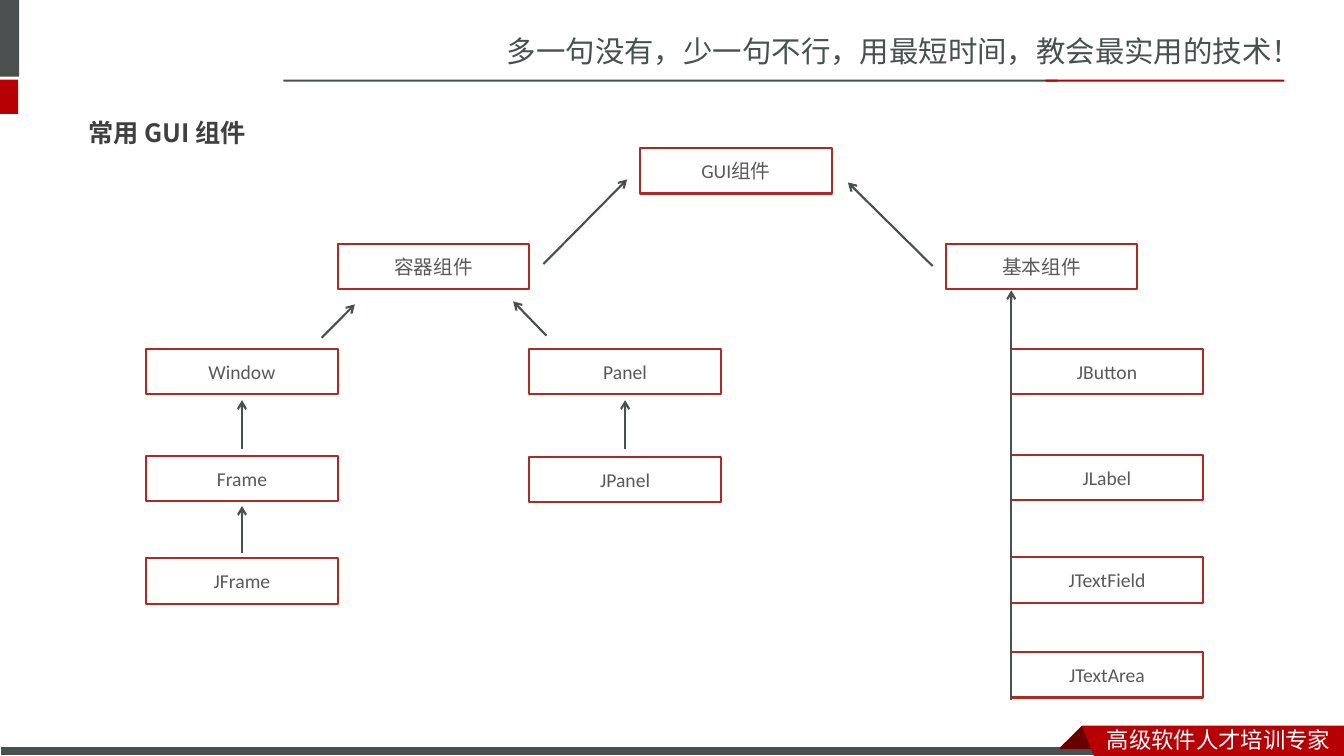
from dataclasses import dataclass
from typing import NamedTuple

from lxml.etree import SubElement
from pptx import Presentation
from pptx.dml.color import RGBColor
from pptx.enum.shapes import MSO_CONNECTOR as Connector, MSO_SHAPE as Preset
from pptx.enum.text import MSO_ANCHOR as Anchor, PP_ALIGN as Align
from pptx.oxml.ns import qn
from pptx.util import Emu, Pt

EMU_PER_PX = 9144
NODE_WIDTH, NODE_HEIGHT = 190, 45


@dataclass(frozen=True)
class Theme:
    slate: str = "49504F"
    red: str = "B60004"
    fold: str = "680000"
    node_line: str = "AD2B26"
    node_text: str = "595959"
    heading: str = "404040"
    white: str = "FFFFFF"
    latin: str = "Calibri"
    chinese: str = "Noto Sans CJK SC"
    heading_font: str = "Noto Sans CJK JP"
    slogan_size: int = 21
    heading_size: int = 18
    footer_size: int = 16
    node_size: int = 14
    line_width: float = 1.5
    edge_width: float = 0.75


class Bar(NamedTuple):
    left: int
    top: int
    width: int
    height: int
    color: str
    edge: str | None = None


class Ribbon(NamedTuple):
    points: list[tuple[int, int]]
    color: str


class Label(NamedTuple):
    text: str
    left: int
    top: int
    width: int
    height: int
    size: int
    color: str
    font: str
    bold: bool = False
    anchor: Anchor = Anchor.TOP


class Node(NamedTuple):
    text: str
    left: int
    top: int


class Arrow(NamedTuple):
    start_x: int
    start_y: int
    end_x: int
    end_y: int


THEME = Theme()

BARS = [
    Bar(0, 0, 19, 76, THEME.slate),
    Bar(0, 79, 18, 34, THEME.red),
    Bar(281, 79, 768, 2, THEME.slate),
    Bar(1037, 79, 237, 2, THEME.red),
    Bar(0, 741, 1099, 9, THEME.slate, THEME.white),
]

RIBBONS = [
    Ribbon([(1073, 720), (1095, 742), (1094, 743), (1052, 743), (1051, 742)], THEME.fold),
    Ribbon([(1073, 720), (1333, 720), (1333, 750), (1085, 750)], THEME.red),
]

LABELS = [
    Label("多一句没有，少一句不行，用最短时间，教会最实用的技术！", 493, 28, 840, 47,
          THEME.slogan_size, THEME.slate, THEME.chinese),
    Label("高级软件人才培训专家", 1088, 715, 245, 37,
          THEME.footer_size, THEME.white, THEME.chinese),
    Label("常用 GUI 组件", 78, 103, 1175, 57,
          THEME.heading_size, THEME.heading, THEME.heading_font, True, Anchor.MIDDLE),
]

WINDOW_LEFT, PANEL_LEFT, BASIC_LEFT = 145, 525, 1003

NODES = [
    Node("GUI组件", 635, 147),
    Node("容器组件", 335, 242),
    Node("基本组件", 938, 242),
    Node("Window", WINDOW_LEFT, 346),
    Node("Frame", WINDOW_LEFT, 452),
    Node("JFrame", WINDOW_LEFT, 554),
    Node("Panel", PANEL_LEFT, 346),
    Node("JPanel", PANEL_LEFT, 453),
    Node("JButton", BASIC_LEFT, 346),
    Node("JLabel", BASIC_LEFT, 451),
    Node("JTextField", BASIC_LEFT, 553),
    Node("JTextArea", BASIC_LEFT, 647),
]

WINDOW_CENTER = WINDOW_LEFT + NODE_WIDTH // 2
PANEL_CENTER = PANEL_LEFT + NODE_WIDTH // 2

ARROWS = [
    Arrow(WINDOW_CENTER, 445, WINDOW_CENTER, 397),
    Arrow(WINDOW_CENTER, 549, WINDOW_CENTER, 502),
    Arrow(PANEL_CENTER, 445, PANEL_CENTER, 397),
    Arrow(BASIC_LEFT, 694, BASIC_LEFT, 288),
    Arrow(319, 335, 352, 302),
    Arrow(542, 333, 509, 299),
    Arrow(925, 264, 841, 181),
    Arrow(539, 262, 622, 178),
]


def px(*lengths: int) -> list[Emu]:
    return [Emu(length * EMU_PER_PX) for length in lengths]


def rgb(color: str) -> RGBColor:
    return RGBColor.from_string(color)


def paint(shape, fill: str, edge: str | None = None, width: float = 0) -> None:
    shape.shadow.inherit = False
    shape.fill.solid()
    shape.fill.fore_color.rgb = rgb(fill)
    if edge is None:
        shape.line.fill.background()
    else:
        shape.line.color.rgb = rgb(edge)
        shape.line.width = Pt(width)


def format_text(text_frame, size: int, color: str, latin: str, chinese: str,
                bold: bool = False) -> None:
    for run in text_frame.paragraphs[0].runs:
        run.font.size = Pt(size)
        run.font.bold = bold
        run.font.color.rgb = rgb(color)
        run.font.name = latin
        SubElement(run._r.get_or_add_rPr(), qn("a:ea"), typeface=chinese)


def draw_bar(slide, bar: Bar) -> None:
    shape = slide.shapes.add_shape(
        Preset.RECTANGLE, *px(bar.left, bar.top, bar.width, bar.height))
    paint(shape, bar.color, bar.edge, THEME.edge_width)


def draw_ribbon(slide, ribbon: Ribbon) -> None:
    builder = slide.shapes.build_freeform(*ribbon.points[0], scale=EMU_PER_PX)
    builder.add_line_segments(ribbon.points[1:], close=True)
    paint(builder.convert_to_shape(), ribbon.color)


def draw_label(slide, label: Label) -> None:
    box = slide.shapes.add_textbox(*px(label.left, label.top, label.width, label.height))
    text_frame = box.text_frame
    text_frame.word_wrap = True
    text_frame.vertical_anchor = label.anchor
    text_frame.text = label.text
    format_text(text_frame, label.size, label.color, label.font, label.font, label.bold)


def draw_node(slide, node: Node) -> None:
    shape = slide.shapes.add_shape(
        Preset.RECTANGLE, *px(node.left, node.top, NODE_WIDTH, NODE_HEIGHT))
    paint(shape, THEME.white, THEME.node_line, THEME.line_width)
    text_frame = shape.text_frame
    text_frame.vertical_anchor = Anchor.MIDDLE
    text_frame.text = node.text
    text_frame.paragraphs[0].alignment = Align.CENTER
    format_text(text_frame, THEME.node_size, THEME.node_text, THEME.latin, THEME.chinese)


def draw_arrow(slide, arrow: Arrow) -> None:
    connector = slide.shapes.add_connector(Connector.STRAIGHT, *px(*arrow))
    connector.line.color.rgb = rgb(THEME.slate)
    connector.line.width = Pt(THEME.line_width)
    SubElement(connector.line._get_or_add_ln(), qn("a:tailEnd"), type="arrow")
    SubElement(connector._element.spPr, qn("a:effectLst"))


def main() -> None:
    presentation = Presentation()
    presentation.slide_width, presentation.slide_height = px(1333, 750)
    slide = presentation.slides.add_slide(presentation.slide_layouts[6])
    for draw, items in ((draw_bar, BARS), (draw_ribbon, RIBBONS), (draw_label, LABELS),
                        (draw_node, NODES), (draw_arrow, ARROWS)):
        for item in items:
            draw(slide, item)
    presentation.save("out.pptx")


if __name__ == "__main__":
    main()
